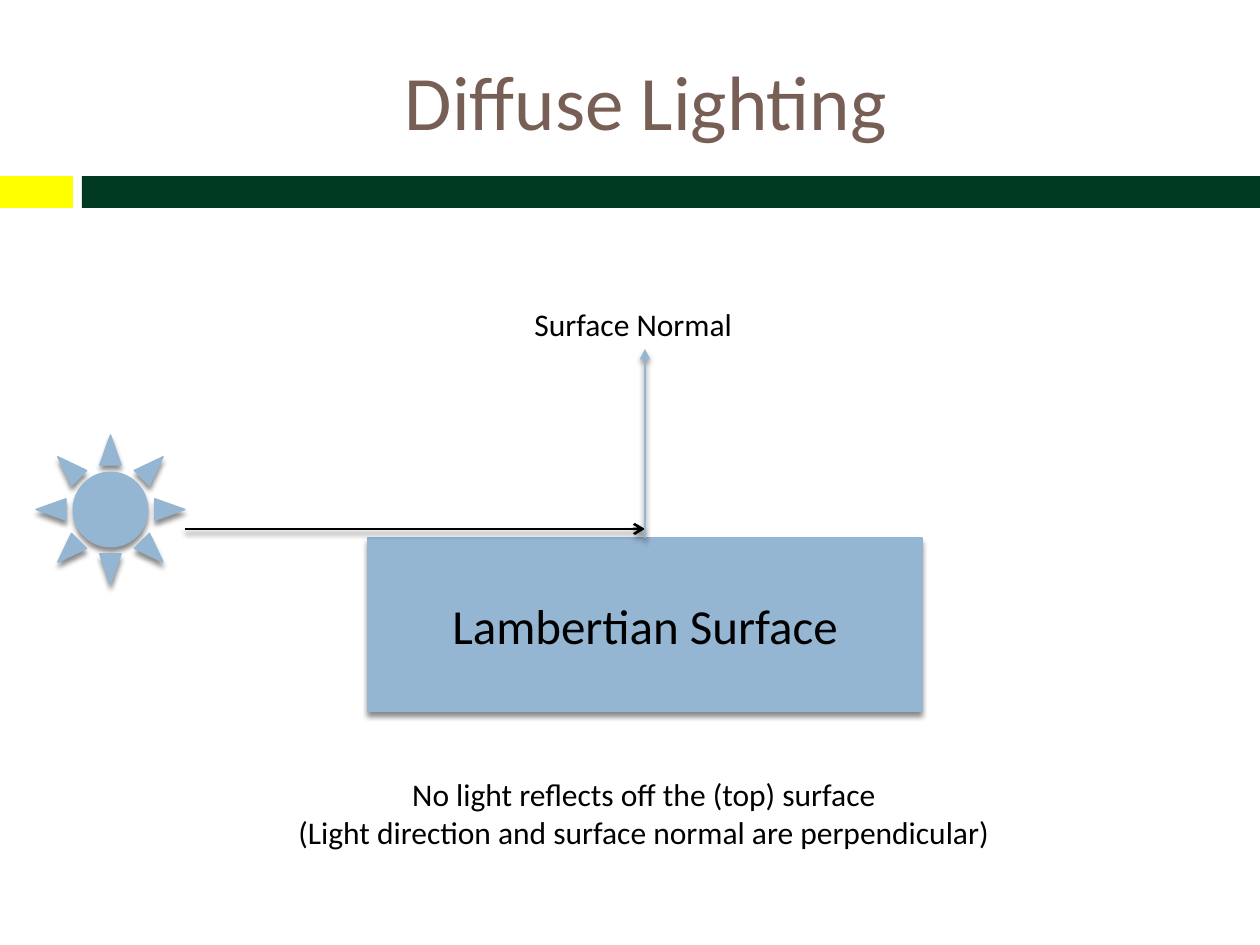
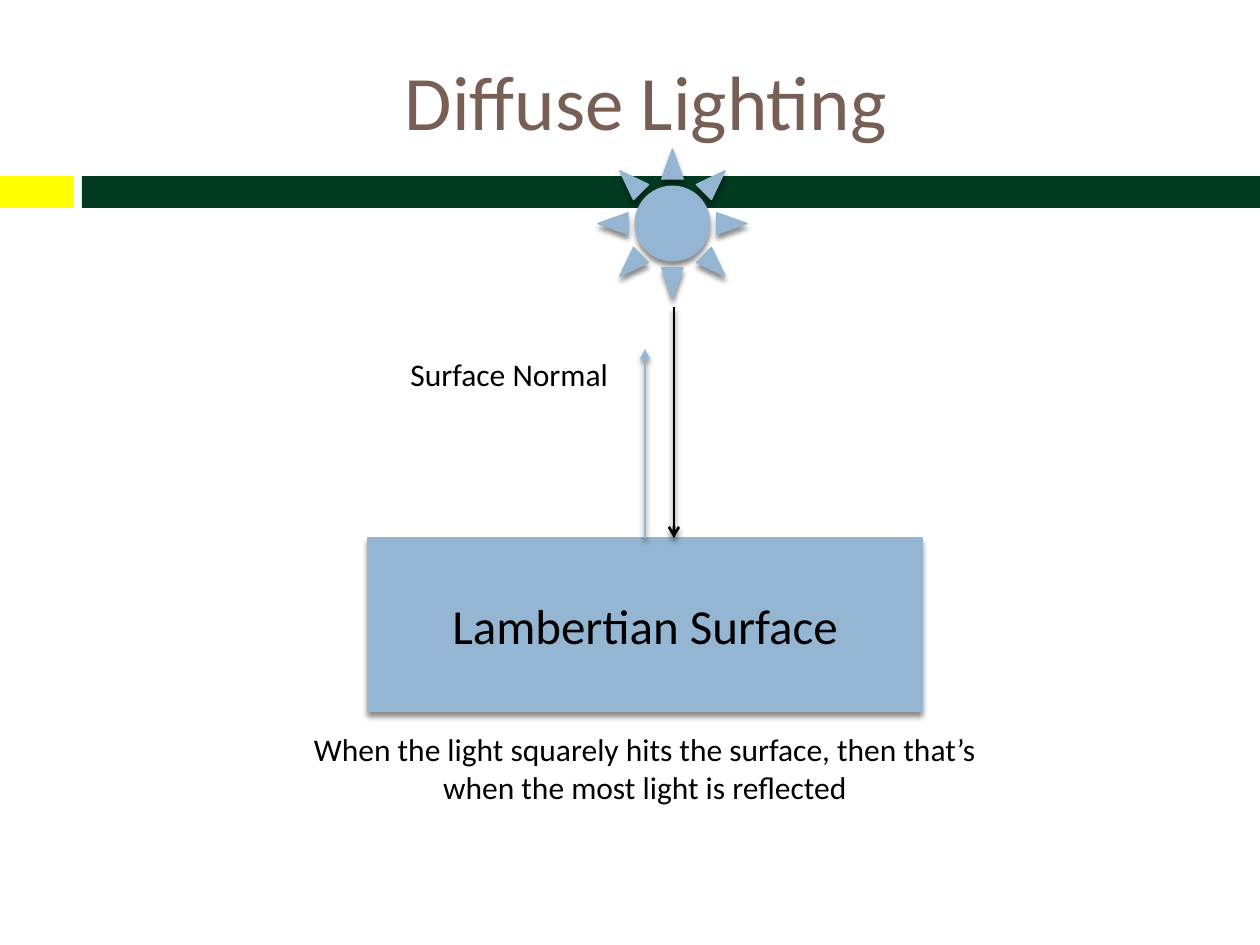
from lxml import etree
from pptx import Presentation
from pptx.dml.color import RGBColor
from pptx.enum.shapes import MSO_CONNECTOR, MSO_SHAPE
from pptx.enum.text import MSO_ANCHOR, MSO_AUTO_SIZE, PP_ALIGN
from pptx.oxml.ns import qn
from pptx.util import Pt

PX = 914400 / 126
FONT = "Calibri"

WHITE = RGBColor(0xFF, 0xFF, 0xFF)
BLACK = RGBColor(0x00, 0x00, 0x00)
YELLOW = RGBColor(0xFF, 0xFF, 0x00)
GREEN = RGBColor(0x00, 0x3A, 0x20)
BROWN = RGBColor(0x77, 0x5F, 0x55)
BLUE = RGBColor(0x94, 0xB6, 0xD2)

RECTANGLE = MSO_SHAPE.RECTANGLE
SUN = MSO_SHAPE.SUN
STRAIGHT = MSO_CONNECTOR.STRAIGHT
LEFT, CENTER = PP_ALIGN.LEFT, PP_ALIGN.CENTER
TOP, MIDDLE = MSO_ANCHOR.TOP, MSO_ANCHOR.MIDDLE
FIT_TEXT = MSO_AUTO_SIZE.SHAPE_TO_FIT_TEXT

SUN_SIZE = 149
NORMAL_X, NORMAL_TIP_Y = 645, 349


def emu(*lengths):
    return [round(length * PX) for length in lengths]


def add_shadow(element):
    """Give a shape or connector element a soft shadow straight below it."""
    properties = element.spPr
    effects = properties.find(qn("a:effectLst"))
    if effects is None:
        effects = etree.SubElement(properties, qn("a:effectLst"))
    shadow = etree.SubElement(
        effects, qn("a:outerShdw"), blurRad=str(Pt(3)), dist=str(Pt(2.4)),
        dir="5400000", algn="ctr", rotWithShape="0")
    color = etree.SubElement(shadow, qn("a:srgbClr"), val=str(BLACK))
    etree.SubElement(color, qn("a:alpha"), val="45000")


class LightingDeck:
    """Holds the deck style and the slide being drawn."""

    def __init__(self):
        self.deck = Presentation()
        self.deck.slide_width, self.deck.slide_height = emu(1260, 945)
        self.slide = None

    def start_slide(self, title):
        self.slide = self.deck.slides.add_slide(self.deck.slide_layouts[6])
        background = self.slide.background.fill
        background.solid()
        background.fore_color.rgb = WHITE
        self.band(0, 73, YELLOW)
        self.band(82, 1178, GREEN)
        self.text(title, 84, 32, 1124, 136, 44, BROWN, CENTER, MIDDLE)

    def shape(self, kind, left, top, width, height, color):
        shape = self.slide.shapes.add_shape(kind, *emu(left, top, width, height))
        shape.shadow.inherit = False
        shape.fill.solid()
        shape.fill.fore_color.rgb = color
        shape.line.fill.background()
        return shape

    def band(self, left, width, color):
        self.shape(RECTANGLE, left, 176, width, 32, color)

    def raised_shape(self, kind, left, top, width, height):
        shape = self.shape(kind, left, top, width, height, BLUE)
        shape.line.color.rgb = BLUE
        shape.line.width = Pt(0.79)
        add_shadow(shape._element)
        return shape

    def fill_text(self, frame, content, size, color, align, anchor):
        frame.text = content
        frame.vertical_anchor = anchor
        for paragraph in frame.paragraphs:
            paragraph.alignment = align
            paragraph.font.name = FONT
            paragraph.font.size = Pt(size)
            paragraph.font.color.rgb = color

    def text(self, content, left, top, width, height, size=18, color=BLACK,
             align=LEFT, anchor=TOP, wrap=True):
        box = self.slide.shapes.add_textbox(*emu(left, top, width, height))
        self.fill_text(box.text_frame, content, size, color, align, anchor)
        box.text_frame.word_wrap = wrap
        if anchor == TOP:
            box.text_frame.auto_size = FIT_TEXT

    def arrow(self, start, end, color, head, source=None):
        """Draw an arrow, joined to the top of source if one is given."""
        arrow = self.slide.shapes.add_connector(STRAIGHT, *emu(*start, *end))
        if source is not None:
            arrow.begin_connect(source, 0)
        arrow.line.color.rgb = color
        arrow.line.width = Pt(1.5)
        outline = arrow._element.spPr.find(qn("a:ln"))
        etree.SubElement(outline, qn("a:tailEnd"), type=head)
        add_shadow(arrow._element)

    def lit_surface(self, sun_corner, light_start, light_end):
        """Draw the surface, its normal, the sun and one ray of light."""
        surface = self.raised_shape(RECTANGLE, 368, 538, 554, 173)
        self.fill_text(surface.text_frame, "Lambertian Surface", 28, BLACK,
                       CENTER, MIDDLE)
        self.raised_shape(SUN, *sun_corner, SUN_SIZE, SUN_SIZE)
        self.arrow(light_start, light_end, BLACK, "arrow")
        self.arrow((NORMAL_X, 538), (NORMAL_X, NORMAL_TIP_Y), BLUE,
                   "triangle", source=surface)

    def normal_label(self, left, top):
        self.text("Surface Normal", left, top, 247, 50, wrap=False)


def main():
    lighting = LightingDeck()

    lighting.start_slide("Diffuse Lighting")
    lighting.lit_surface((36, 435), (185, 529), (NORMAL_X, 529))
    lighting.normal_label(522, 299)
    lighting.text("No light reflects off the (top) surface\n"
                  "(Light direction and surface normal are perpendicular)",
                  253, 769, 782, 89, align=CENTER, wrap=False)

    lighting.start_slide("Diffuse Lighting")
    lighting.lit_surface((598, 149), (674, 307), (674, 538))
    lighting.normal_label(398, 349)
    lighting.text("When the light squarely hits the surface, then that’s "
                  "when the most light is reflected",
                  296, 724, 698, 89, align=CENTER)

    lighting.deck.save("out.pptx")


if __name__ == "__main__":
    main()
